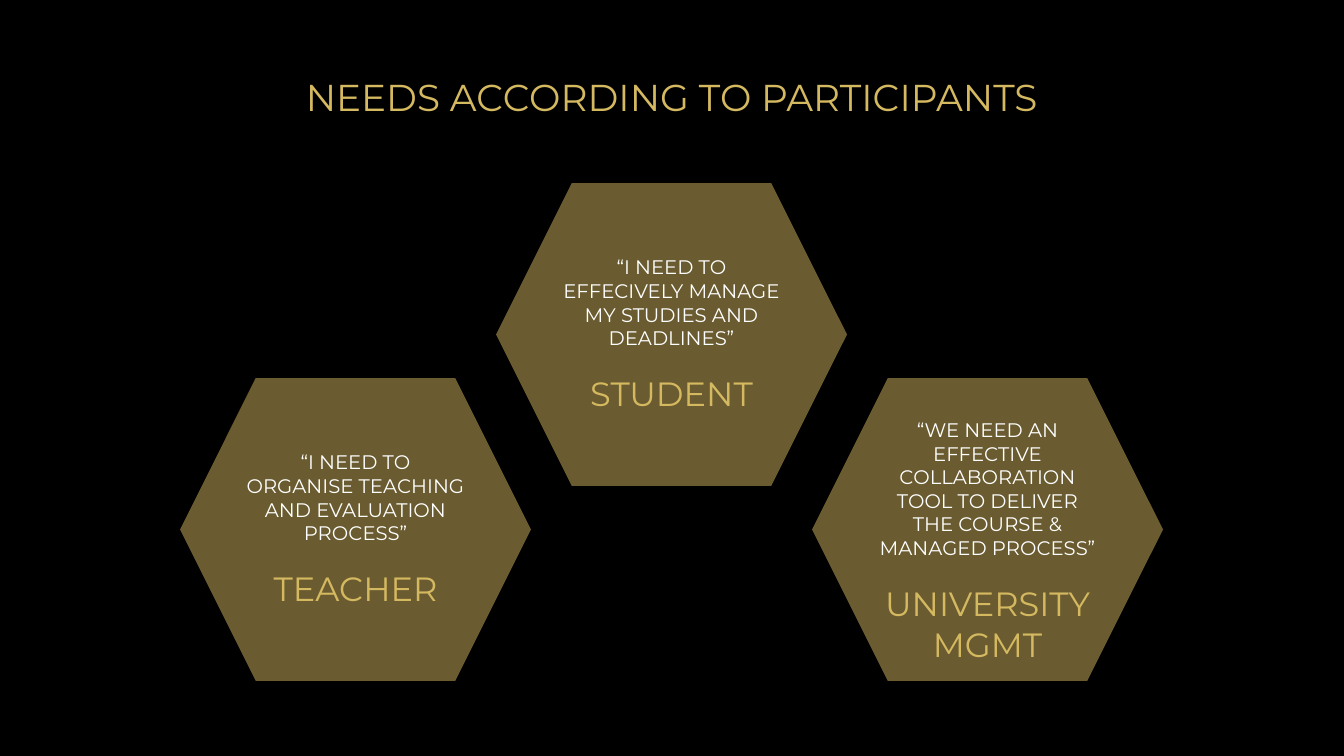
from lxml.etree import SubElement
from pptx import Presentation
from pptx.dml.color import RGBColor
from pptx.enum.shapes import MSO_SHAPE
from pptx.enum.text import MSO_ANCHOR, PP_ALIGN
from pptx.oxml.ns import qn
from pptx.util import Pt

PX = 9074
BLACK, GOLD, WHITE = "000000", "D5B961", "FFFFFF"
TITLE_FORMAT = {"size": Pt(26.7), "name": "Montserrat", "color": GOLD}
QUOTE_FORMAT = {"size": Pt(14), "name": "Montserrat", "color": WHITE}
ROLE_FORMAT = {"size": Pt(24), "name": "Montserrat", "color": GOLD}

HEXAGON_WIDTH, HEXAGON_HEIGHT = 351, 303
FIRST_LEFT, STEP = 180, 316
UPPER_TOP, LOWER_TOP = 183, 378

# Quote, role lines, top of the hexagon, top margin of its text
PARTICIPANTS = [
    ("“I NEED TO ORGANISE TEACHING AND EVALUATION PROCESS”",
     ["TEACHER"], LOWER_TOP, 5),
    ("“I NEED TO EFFECIVELY MANAGE MY STUDIES AND DEADLINES”",
     ["STUDENT"], UPPER_TOP, 5),
    ("“WE NEED AN EFFECTIVE COLLABORATION TOOL TO DELIVER THE COURSE "
     "& MANAGED PROCESS”",
     ["UNIVERSITY", "MGMT"], LOWER_TOP, 28),
]


def rgb(value):
    return RGBColor.from_string(value)


def to_emu(box):
    return [length * PX for length in box]


def set_frame(frame, anchor, margins):
    """Set wrapping, anchor and the left, top, right and bottom margins."""
    left, top, right, bottom = to_emu(margins)
    values = {"word_wrap": True, "vertical_anchor": anchor,
              "margin_left": left, "margin_top": top,
              "margin_right": right, "margin_bottom": bottom}
    for name, value in values.items():
        setattr(frame, name, value)


def write_para(para, text, formats):
    para.alignment = PP_ALIGN.CENTER
    span = para.add_run()
    span.text = text
    for name, value in formats.items():
        if name == "color":
            span.font.color.rgb = rgb(value)
        else:
            setattr(span.font, name, value)


def set_fill(shape, color, opacity):
    """Fill the shape with a colour at an opacity given in percent."""
    shape.fill.solid()
    shape.fill.fore_color.rgb = rgb(color)
    color_element = shape.fill._xPr.find(".//" + qn("a:srgbClr"))
    SubElement(color_element, qn("a:alpha"), val=str(opacity * 1000))


def add_title(page, box, text):
    frame = page.shapes.add_textbox(*to_emu(box)).text_frame
    set_frame(frame, MSO_ANCHOR.BOTTOM, (10, 10, 10, 10))
    write_para(frame.paragraphs[0], text, TITLE_FORMAT)


def add_participant(page, box, quote, roles, top_margin):
    hexagon = page.shapes.add_shape(MSO_SHAPE.HEXAGON, *to_emu(box))
    hexagon.shadow.inherit = False
    hexagon.line.fill.background()
    set_fill(hexagon, GOLD, 50)
    frame = hexagon.text_frame
    set_frame(frame, MSO_ANCHOR.MIDDLE, (10, top_margin, 10, 5))
    write_para(frame.paragraphs[0], quote, QUOTE_FORMAT)
    for index, role in enumerate(roles):
        para = frame.add_paragraph()
        write_para(para, role, ROLE_FORMAT)
        if index == 0:
            para.space_before = Pt(17)


def add_needs_page(deck):
    page = deck.slides.add_slide(deck.slide_layouts[6])
    page.background.fill.solid()
    page.background.fill.fore_color.rgb = rgb(BLACK)
    add_title(page, (0, 54, 1344, 75), "NEEDS ACCORDING TO PARTICIPANTS")
    for index, (quote, roles, top, top_margin) in enumerate(PARTICIPANTS):
        box = (FIRST_LEFT + index * STEP, top, HEXAGON_WIDTH, HEXAGON_HEIGHT)
        add_participant(page, box, quote, roles, top_margin)


def main():
    deck = Presentation()
    deck.slide_width, deck.slide_height = to_emu((1344, 756))
    add_needs_page(deck)
    deck.save("out.pptx")


if __name__ == "__main__":
    main()
